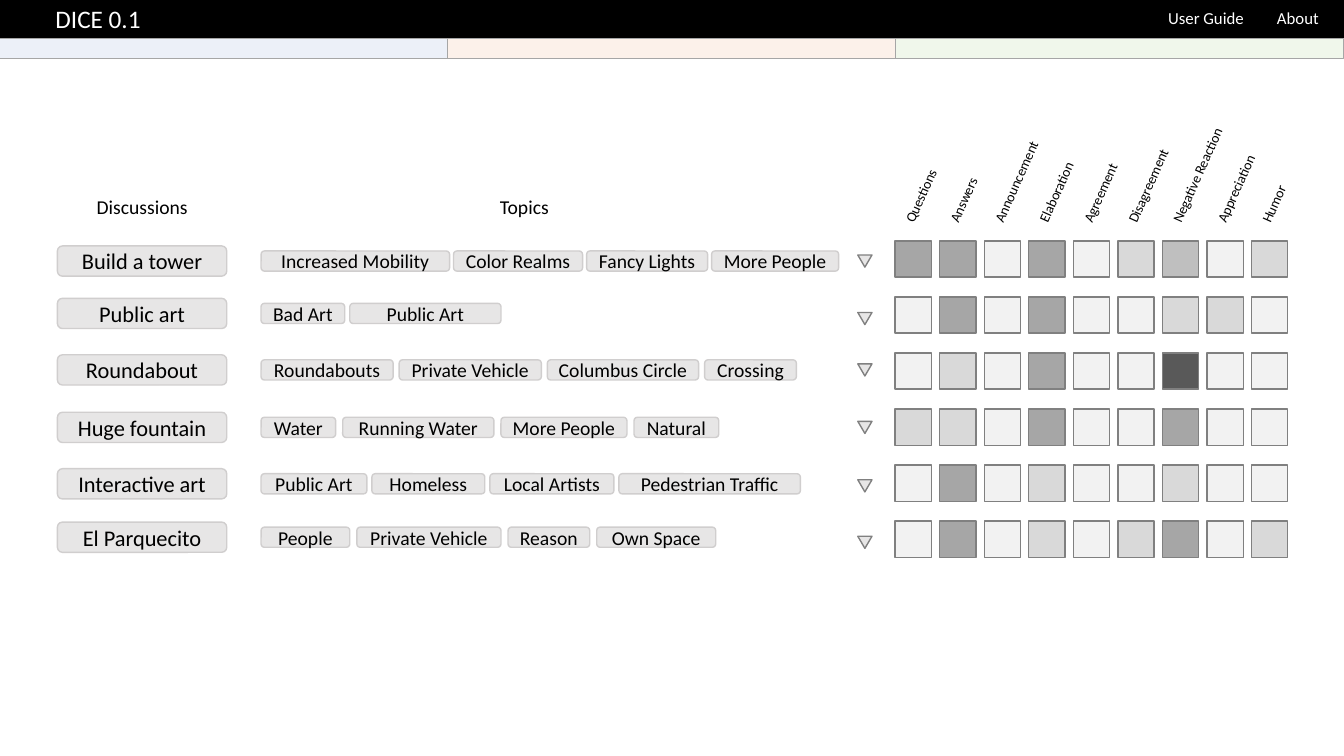
"""Build the DICE discussion overview: topic tags and a reaction heat map."""
import math
from lxml import etree
from pptx import Presentation, util as u
from pptx.dml import color
from pptx.enum import shapes, text
from pptx.oxml import ns

KIND = shapes.MSO_SHAPE
ALIGN = text.PP_ALIGN
COLUMNS, ROWS = 133.33, 75
SHADES = {"0": "F2F2F2", "1": "D9D9D9", "2": "BFBFBF", "3": "A6A6A6", "4": "595959"}
SQUARE_LEFT, SQUARE_TOP, SQUARE_SIZE = 88.8, 23.9, 3.6
COLUMN_STEP, ROW_STEP = 4.42, 5.56
LABEL_LEFT, LABEL_BASE, LABEL_HEIGHT, LABEL_ANGLE = 89.8, 22.9, 2.7, 66

DISCUSSIONS = [
    ("Build a tower", 24.4, 25.3, "330301201", 0.4,
     [("Increased Mobility", 18.7), ("Color Realms", 12.8), ("Fancy Lights", 12), ("More People", 12.6)]),
    ("Public art", 29.6, 31, "030300110", 0.5,
     [("Bad Art", 8.3), ("Public Art", 15)]),
    ("Roundabout", 35.2, 36.1, "010300400", 0.6,
     [("Roundabouts", 13.1), ("Private Vehicle", 14.1), ("Columbus Circle", 15), ("Crossing", 9.1)]),
    ("Huge fountain", 40.9, 41.8, "110300300", 0.7,
     [("Water", 7.4), ("Running Water", 15), ("More People", 12.5), ("Natural", 8.4)]),
    ("Interactive art", 46.5, 47.6, "030100100", 0.5,
     [("Public Art", 10.5), ("Homeless", 11.2), ("Local Artists", 12.3), ("Pedestrian Traffic", 18)]),
    ("El Parquecito", 51.8, 53.2, "030101301", 0.7,
     [("People", 8.8), ("Private Vehicle", 14.3), ("Reason", 8.1), ("Own Space", 11.8)]),
]
REACTIONS = [
    ("Questions", 7.8), ("Answers", 6.8), ("Announcement", 10.8),
    ("Elaboration", 8.6), ("Agreement", 8.4), ("Disagreement", 10),
    ("Negative Reaction", 12.4), ("Appreciation", 9.3), ("Humor", 6),
]
HEADINGS = [
    ("Discussions", 8.6, 18.8, 11.2, 3.4, 14, "000000"),
    ("Topics", 48.6, 18.8, 6.9, 3.4, 14, "000000"),
    ("User Guide", 114.9, 0.3, 9.6, 3, 12, "FFFFFF"),
    ("About", 125.7, 0.3, 6.2, 3, 12, "FFFFFF"),
]
BANDS = ["DAE3F3", "FBE5D6", "E2F0D9"]


def rgb(value):
    """Turn a hex string into a colour."""
    return color.RGBColor.from_string(value)


def write(box, words, size=14, ink="000000", align=ALIGN.LEFT, font="Calibri"):
    """Put one formatted line of text into a shape."""
    para = box.text_frame.paragraphs[0]
    para.alignment = align
    span = para.add_run()
    span.text = words
    span.font.size, span.font.name = u.Pt(size), font
    span.font.color.rgb = rgb(ink)


class Page:
    """Hold the current slide, its grid and its style."""

    def __init__(self, deck):
        """Add a title-only slide to the deck."""
        self.slide = deck.slides.add_slide(deck.slide_layouts[5])
        self.cell_width = deck.slide_width / COLUMNS
        self.cell_height = deck.slide_height / ROWS

    def place(self, left, top, width, height):
        """Convert grid columns and rows to slide lengths."""
        return (round(left * self.cell_width), round(top * self.cell_height),
                round(width * self.cell_width), round(height * self.cell_height))

    def paint(self, box, fill, line, weight=1):
        """Give a shape a solid fill and outline."""
        box.fill.solid()
        box.fill.fore_color.rgb = rgb(fill)
        box.line.color.rgb = rgb(line)
        box.line.width = u.Pt(weight)

    def title(self, words, height):
        """Turn the title placeholder into the top bar."""
        bar = self.slide.shapes.title
        bar.left, bar.top, bar.width, bar.height = self.place(0, 0, COLUMNS, height)
        self.paint(bar, "000000", "000000")
        frame = bar.text_frame
        frame.auto_size = text.MSO_AUTO_SIZE.NONE
        frame.vertical_anchor = text.MSO_ANCHOR.MIDDLE
        frame.margin_top = frame.margin_bottom = 0
        frame.margin_left = round(5.5 * self.cell_width)
        write(bar, words, size=18, ink="FFFFFF")

    def shape(self, kind, area, fill, line, weight=1):
        """Draw a flat preset shape."""
        box = self.slide.shapes.add_shape(kind, *self.place(*area))
        box.shadow.inherit = False
        self.paint(box, fill, line, weight)
        return box

    def tag(self, words, area, size):
        """Draw a rounded grey tag with centred text."""
        box = self.shape(KIND.ROUNDED_RECTANGLE, area, "E7E6E6", "D0CECE")
        frame = box.text_frame
        frame.margin_left = frame.margin_right = frame.margin_top = frame.margin_bottom = 0
        frame.vertical_anchor = text.MSO_ANCHOR.MIDDLE
        write(box, words, size=size, align=ALIGN.CENTER)

    def band(self, area, fill):
        """Draw a half-transparent colour band."""
        box = self.shape(KIND.RECTANGLE, area, fill, "A6A6A6", 0.75)
        tint = box.element.xpath("./p:spPr/a:solidFill/a:srgbClr")[0]
        etree.SubElement(tint, ns.qn("a:alpha"), val="50000")

    def label(self, words, area, size, ink="000000", angle=0):
        """Add a single-line text box, turned if asked."""
        box = self.slide.shapes.add_textbox(*self.place(*area))
        box.text_frame.word_wrap = False
        box.text_frame.auto_size = text.MSO_AUTO_SIZE.SHAPE_TO_FIT_TEXT
        box.rotation = angle
        write(box, words, size=size, ink=ink)


def main():
    """Build and save the deck."""
    deck = Presentation()
    deck.slide_width, deck.slide_height = u.Inches(13.33), u.Inches(7.5)
    page = Page(deck)
    page.title("DICE 0.1", 3.7)

    band_width = COLUMNS / len(BANDS)
    for index, fill in enumerate(BANDS):
        page.band((index * band_width, 3.8, band_width, 2), fill)
    for words, left, top, width, height, size, ink in HEADINGS:
        page.label(words, (left, top, width, height), size, ink)

    for row, (name, top, arrow_top, levels, gap, topics) in enumerate(DISCUSSIONS):
        page.tag(name, (5.7, top, 16.8, 3), 16)
        left = 25.9
        for topic, width in topics:
            page.tag(topic, (left, top + 0.5, width, 2), 14)
            left += width + gap
        arrow = page.shape(KIND.ISOSCELES_TRIANGLE, (85.1, arrow_top, 1.4, 1.2), "E7E6E6", "808080")
        arrow.rotation = 180
        for column, level in enumerate(levels):
            area = (SQUARE_LEFT + column * COLUMN_STEP, SQUARE_TOP + row * ROW_STEP,
                    SQUARE_SIZE, SQUARE_SIZE)
            page.shape(KIND.RECTANGLE, area, SHADES[level], "808080")

    slope = math.radians(LABEL_ANGLE)
    for column, (name, width) in enumerate(REACTIONS):
        middle = LABEL_LEFT + column * COLUMN_STEP + width / 2 * math.cos(slope)
        centre = LABEL_BASE - width / 2 * math.sin(slope)
        area = (middle - width / 2, centre - LABEL_HEIGHT / 2, width, LABEL_HEIGHT)
        page.label(name, area, 10, angle=360 - LABEL_ANGLE)

    deck.save("out.pptx")


main()
